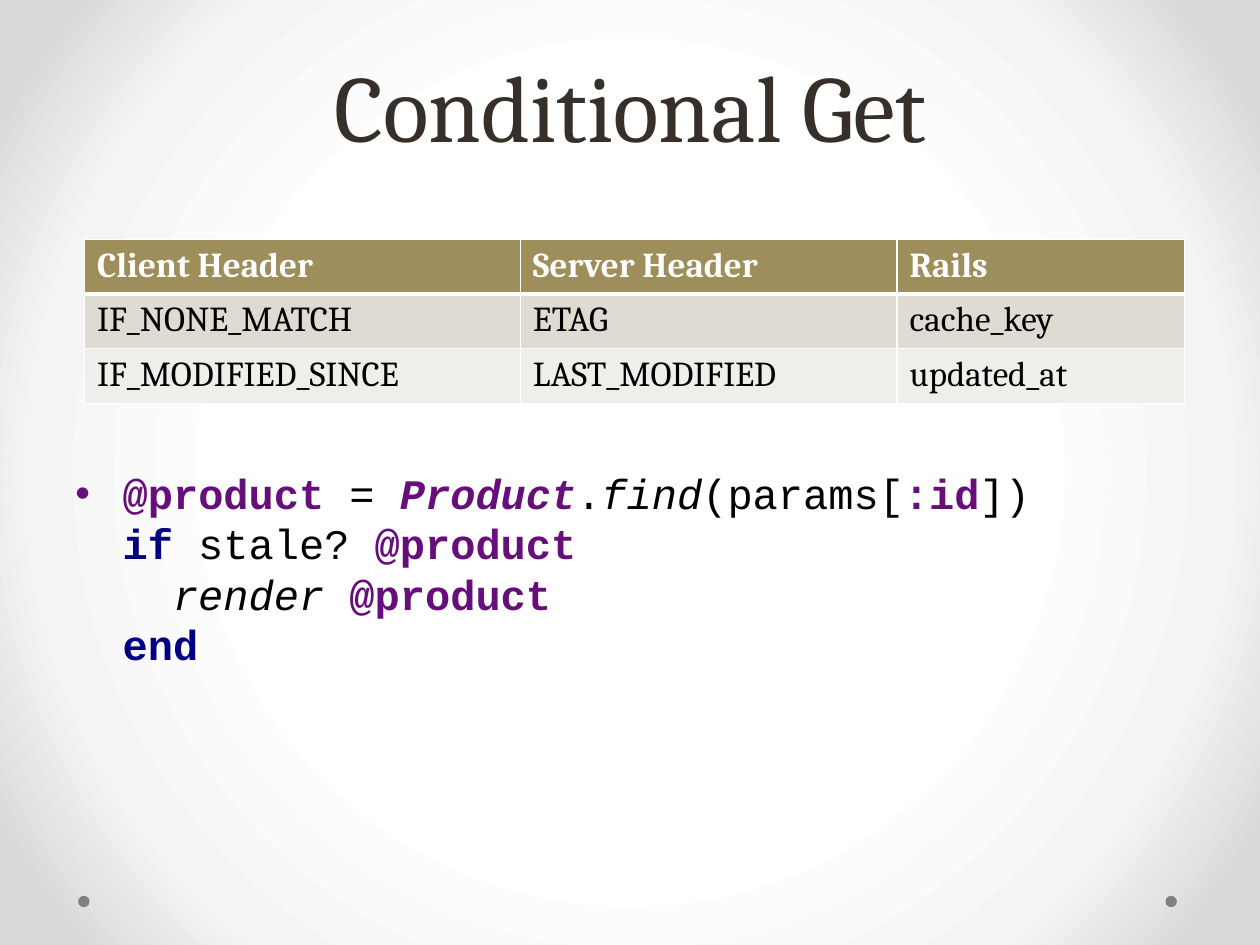
"""Build the Conditional Get slide with its header table and code sample."""
from dataclasses import dataclass

from lxml import etree
from pptx import Presentation
from pptx.dml.color import RGBColor
from pptx.enum.shapes import MSO_SHAPE
from pptx.enum.text import MSO_ANCHOR, MSO_AUTO_SIZE, PP_ALIGN
from pptx.oxml import parse_xml
from pptx.oxml.ns import nsdecls, qn
from pptx.util import Inches, Pt

OVAL = MSO_SHAPE.OVAL
MIDDLE = MSO_ANCHOR.MIDDLE
NO_FIT = MSO_AUTO_SIZE.NONE
CENTER, LEFT = PP_ALIGN.CENTER, PP_ALIGN.LEFT

UNIT = Inches(0.1)
COLUMNS, ROWS = 100, 75

BLACK = RGBColor(0x00, 0x00, 0x00)
WHITE = RGBColor(0xFF, 0xFF, 0xFF)
PALE = RGBColor(0xF4, 0xF4, 0xF4)
SILVER = RGBColor(0xDA, 0xDA, 0xDA)
GRAY = RGBColor(0x80, 0x80, 0x80)
BROWN = RGBColor(0x37, 0x30, 0x2A)
GOLD = RGBColor(0x9E, 0x8E, 0x5C)
SAND = RGBColor(0xDF, 0xDB, 0xD2)
CREAM = RGBColor(0xF0, 0xEE, 0xEA)
PURPLE = RGBColor(0x66, 0x0E, 0x7A)
NAVY = RGBColor(0x00, 0x00, 0x80)

SERIF, MONO = "Cambria", "Courier New"
CODE_INDENT, CODE_STEP = 3.75, 4


@dataclass(frozen=True)
class Box:
    """Hold a place in grid columns and rows."""
    left: float
    top: float
    width: float
    height: float

    def lengths(self) -> tuple[int, ...]:
        """Return left, top, width and height as lengths."""
        return tuple(grid(value) for value in (self.left, self.top, self.width, self.height))


@dataclass(frozen=True)
class Token:
    """Hold a piece of code and its format."""
    text: str
    color: RGBColor = BLACK
    bold: bool = False
    italic: bool = False


@dataclass(frozen=True)
class CodeLine:
    """Hold a line of code and its nesting level."""
    tokens: tuple[Token, ...]
    level: int = 0


TITLE_BOX = Box(5, 0, 90, 17.5)
CODE_BOX = Box(5, 17.5, 90, 49.5)
TABLE_BOX = Box(6.7, 19, 87.3, 12.6)
DOTS = [Box(left, 71.1, 0.9, 0.9) for left in (92.5, 6.2)]
TABLE_COLUMNS = (34.6, 29.9, 22.8)
TABLE_ROWS = (
    ("Client Header", "Server Header", "Rails"),
    ("IF_NONE_MATCH", "ETAG", "cache_key"),
    ("IF_MODIFIED_SINCE", "LAST_MODIFIED", "updated_at"),
)
ROW_FILLS = (GOLD, SAND, CREAM)
BACKGROUND_STOPS = ((50, WHITE), (76, PALE), (92, SILVER))

VARIABLE = Token("@product", PURPLE, bold=True)
CODE_LINES = (
    CodeLine((VARIABLE, Token(" = "), Token("Product", PURPLE, True, True), Token("."),
              Token("find", italic=True), Token("(params["),
              Token(":id", PURPLE, True), Token("])"))),
    CodeLine((Token("if ", NAVY, True), Token("stale? "), VARIABLE)),
    CodeLine((Token("render ", italic=True), VARIABLE), level=1),
    CodeLine((Token("end", NAVY, True),)),
)


def grid(value: float) -> int:
    """Return the length of a number of grid units."""
    return round(value * UNIT)


def add_text(paragraph, text: str, *, font: str, size: float, color: RGBColor,
             bold: bool = False, italic: bool = False) -> None:
    """Append a formatted run to a paragraph."""
    run = paragraph.add_run()
    run.text = text
    run.font.name, run.font.size = font, Pt(size)
    run.font.bold, run.font.italic = bold, italic
    run.font.color.rgb = color


def paint_background(slide) -> None:
    """Fill the background with a circular gradient."""
    stops = "".join(f'<a:gs pos="{share * 1000}"><a:srgbClr val="{color}"/></a:gs>'
                    for share, color in BACKGROUND_STOPS)
    background = parse_xml(
        f'<p:bg {nsdecls("p", "a")}><p:bgPr><a:gradFill rotWithShape="1">'
        f'<a:gsLst>{stops}</a:gsLst><a:path path="circle">'
        '<a:fillToRect l="50000" t="50000" r="50000" b="50000"/></a:path>'
        '</a:gradFill><a:effectLst/></p:bgPr></p:bg>')
    slide.element.cSld.insert(0, background)


def add_dot(slide, box: Box) -> None:
    """Draw a small gray dot."""
    dot = slide.shapes.add_shape(OVAL, *box.lengths())
    dot.shadow.inherit = False
    dot.fill.solid()
    dot.fill.fore_color.rgb = GRAY
    dot.line.fill.background()


def set_title(slide) -> None:
    """Place and format the title."""
    title = slide.shapes.title
    title.left, title.top, title.width, title.height = TITLE_BOX.lengths()
    frame = title.text_frame
    frame.vertical_anchor, frame.auto_size = MIDDLE, NO_FIT
    paragraph = frame.paragraphs[0]
    paragraph.alignment, paragraph.line_spacing = CENTER, Pt(58)
    add_text(paragraph, "Conditional Get", font=SERIF, size=54, color=BROWN)


def add_code(slide) -> None:
    """Write the code sample with a bullet on its first line."""
    frame = slide.shapes.add_textbox(*CODE_BOX.lengths()).text_frame
    frame.word_wrap, frame.vertical_anchor = True, MIDDLE
    frame.margin_top = grid(6.2)
    for index, line in enumerate(CODE_LINES):
        paragraph = frame.add_paragraph() if index else frame.paragraphs[0]
        paragraph.alignment, paragraph.line_spacing = LEFT, Pt(28.8)
        properties = paragraph._p.get_or_add_pPr()
        properties.set("marL", str(grid(CODE_INDENT + line.level * CODE_STEP)))
        properties.set("indent", "0" if index else str(-grid(CODE_INDENT)))
        if index == 0:
            color = etree.SubElement(properties, qn("a:buClr"))
            etree.SubElement(color, qn("a:srgbClr"), val=str(PURPLE))
            etree.SubElement(properties, qn("a:buFont"), typeface="Arial")
            etree.SubElement(properties, qn("a:buChar"), char="•")
        for token in line.tokens:
            add_text(paragraph, token.text, font=MONO, size=24, color=token.color,
                     bold=token.bold, italic=token.italic)


def set_borders(cell, row: int) -> None:
    """Give a cell white borders, thick between header and body."""
    widths = {"L": 1, "R": 1, "T": 3 if row == 1 else 1, "B": 3 if row == 0 else 1}
    properties = cell._tc.get_or_add_tcPr()
    for side, width in widths.items():
        line = etree.SubElement(properties, qn(f"a:ln{side}"), w=str(Pt(width)))
        fill = etree.SubElement(line, qn("a:solidFill"))
        etree.SubElement(fill, qn("a:srgbClr"), val=str(WHITE))


def add_header_table(slide) -> None:
    """Draw the table of request and response headers."""
    table = slide.shapes.add_table(len(TABLE_ROWS), len(TABLE_COLUMNS),
                                   *TABLE_BOX.lengths()).table
    for column, width in zip(table.columns, TABLE_COLUMNS):
        column.width = grid(width)
    for row, (texts, fill) in enumerate(zip(TABLE_ROWS, ROW_FILLS)):
        for column, text in enumerate(texts):
            cell = table.cell(row, column)
            set_borders(cell, row)
            cell.fill.solid()
            cell.fill.fore_color.rgb = fill
            add_text(cell.text_frame.paragraphs[0], text, font=SERIF, size=20,
                     color=BLACK if row else WHITE, bold=row == 0)


def main() -> None:
    """Build and save the presentation."""
    presentation = Presentation()
    presentation.slide_width, presentation.slide_height = grid(COLUMNS), grid(ROWS)
    slide = presentation.slides.add_slide(presentation.slide_layouts[5])
    paint_background(slide)
    for box in DOTS:
        add_dot(slide, box)
    set_title(slide)
    add_code(slide)
    add_header_table(slide)
    presentation.save("out.pptx")


if __name__ == "__main__":
    main()
